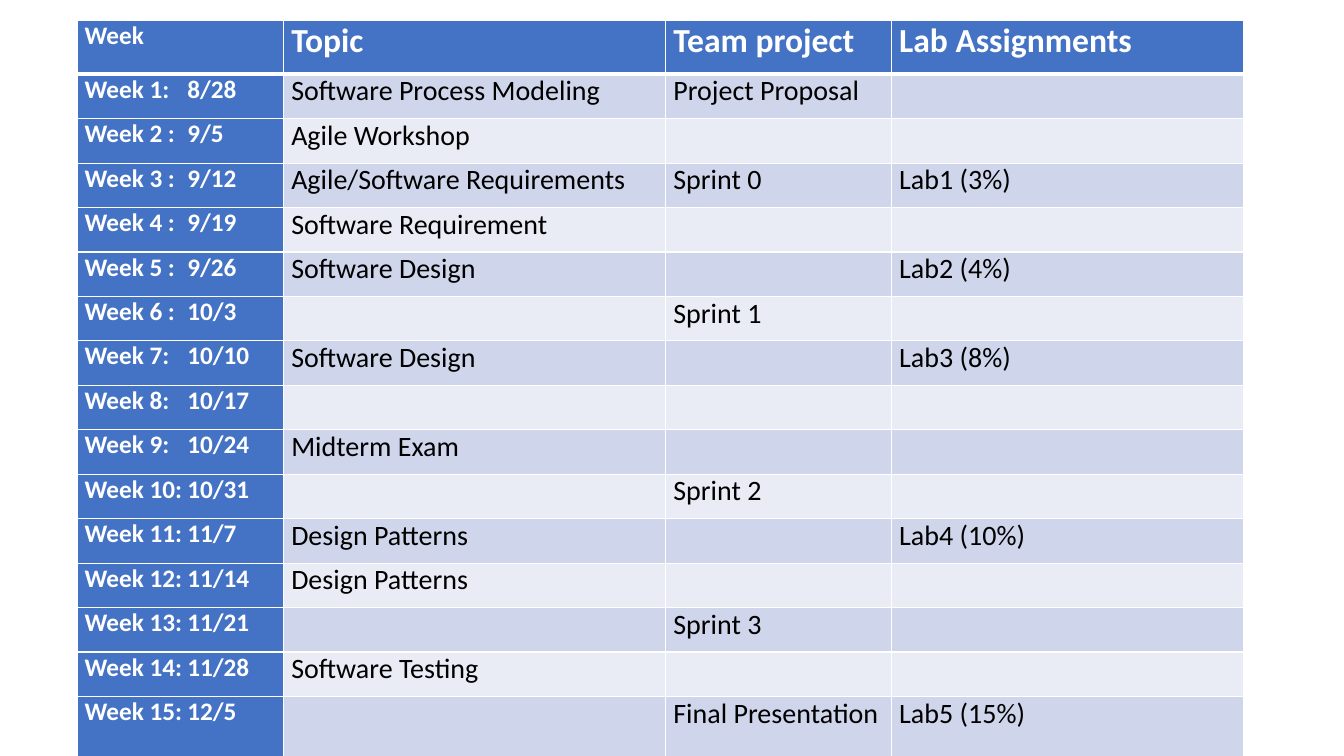
from lxml import etree
from pptx import Presentation
from pptx import util as u
from pptx.dml.color import RGBColor
from pptx.oxml import ns

WHITE = RGBColor(0xFF, 0xFF, 0xFF)
BLACK = RGBColor(0x00, 0x00, 0x00)
BLUE = RGBColor(0x44, 0x72, 0xC4)
BAND_DARK = RGBColor(0xCF, 0xD5, 0xEA)
BAND_LIGHT = RGBColor(0xE9, 0xEB, 0xF5)

COLUMN_WIDTHS = [5.21, 9.63, 5.69, 8.87]
HEADER_HEIGHT, WEEK_HEIGHT, LAST_HEIGHT = 1.35, 1.12, 1.73
DATE_TAB = 2.59

SCHEDULE = [
    ("Week", "Topic", "Team project", "Lab Assignments"),
    ("Week 1:\t8/28", "Software Process Modeling", "Project Proposal", ""),
    ("Week 2 :\t9/5", "Agile Workshop", "", ""),
    ("Week 3 :\t9/12", "Agile/Software Requirements", "Sprint 0", "Lab1 (3%)"),
    ("Week 4 :\t9/19", "Software Requirement", "", ""),
    ("Week 5 :\t9/26", "Software Design", "", "Lab2 (4%)"),
    ("Week 6 :\t10/3", "", "Sprint 1", ""),
    ("Week 7:\t10/10", "Software Design", "", "Lab3 (8%)"),
    ("Week 8:\t10/17", "", "", ""),
    ("Week 9:\t10/24", "Midterm Exam", "", ""),
    ("Week 10:\t10/31", "", "Sprint 2", ""),
    ("Week 11:\t11/7", "Design Patterns", "", "Lab4 (10%)"),
    ("Week 12:\t11/14", "Design Patterns", "", ""),
    ("Week 13:\t11/21", "", "Sprint 3", ""),
    ("Week 14:\t11/28", "Software Testing", "", ""),
    ("Week 15:\t12/5", "", "Final Presentation", "Lab5 (15%)"),
]


def set_borders(cell, bottom_width, top_width):
    """Draw white rules on the four sides of a cell, widths in points."""
    properties = cell._tc.get_or_add_tcPr()
    widths = {"lnL": 1, "lnR": 1, "lnT": top_width, "lnB": bottom_width}
    for place, (side, width) in enumerate(widths.items()):
        line = etree.Element(ns.qn(f"a:{side}"), w=str(u.Pt(width)))
        fill = etree.SubElement(line, ns.qn("a:solidFill"))
        etree.SubElement(fill, ns.qn("a:srgbClr"), val=str(WHITE))
        properties.insert(place, line)


def add_date_tab(para):
    """Line up the dates of the week column at one tab stop."""
    stops = etree.SubElement(para._p.get_or_add_pPr(), ns.qn("a:tabLst"))
    etree.SubElement(stops, ns.qn("a:tab"), pos=str(u.Cm(DATE_TAB)), algn="l")


deck = Presentation()
deck.slide_width, deck.slide_height = u.Cm(33.87), u.Cm(19.05)
page = deck.slides.add_slide(deck.slide_layouts[6])

row_heights = [HEADER_HEIGHT] + [WEEK_HEIGHT] * (len(SCHEDULE) - 2) + [LAST_HEIGHT]
frame = page.shapes.add_table(
    len(SCHEDULE), len(COLUMN_WIDTHS), u.Cm(1.94), u.Cm(0.52),
    u.Cm(sum(COLUMN_WIDTHS)), u.Cm(sum(row_heights)))
table = frame.table
for column, width in zip(table.columns, COLUMN_WIDTHS):
    column.width = u.Cm(width)
for row, height in zip(table.rows, row_heights):
    row.height = u.Cm(height)

margins = {"margin_left": u.Cm(0.19), "margin_right": u.Cm(0.19),
           "margin_top": 0, "margin_bottom": 0}
for r, entries in enumerate(SCHEDULE):
    band = BAND_DARK if r % 2 else BAND_LIGHT
    for c, entry in enumerate(entries):
        heading = r == 0 or c == 0
        cell = table.cell(r, c)
        for name, value in margins.items():
            setattr(cell, name, value)
        cell.fill.solid()
        cell.fill.fore_color.rgb = BLUE if heading else band
        set_borders(cell, 3 if r == 0 else 1, 3 if r == 1 else 1)
        if not entry:
            continue
        para = cell.text_frame.paragraphs[0]
        if "\t" in entry:
            add_date_tab(para)
        span = para.add_run()
        span.text = entry
        size = 18 if c == 0 else 24 if r == 0 else 20
        style = {"name": "Calibri", "size": u.Pt(size), "bold": heading}
        for name, value in style.items():
            setattr(span.font, name, value)
        span.font.color.rgb = WHITE if heading else BLACK

deck.save("out.pptx")
